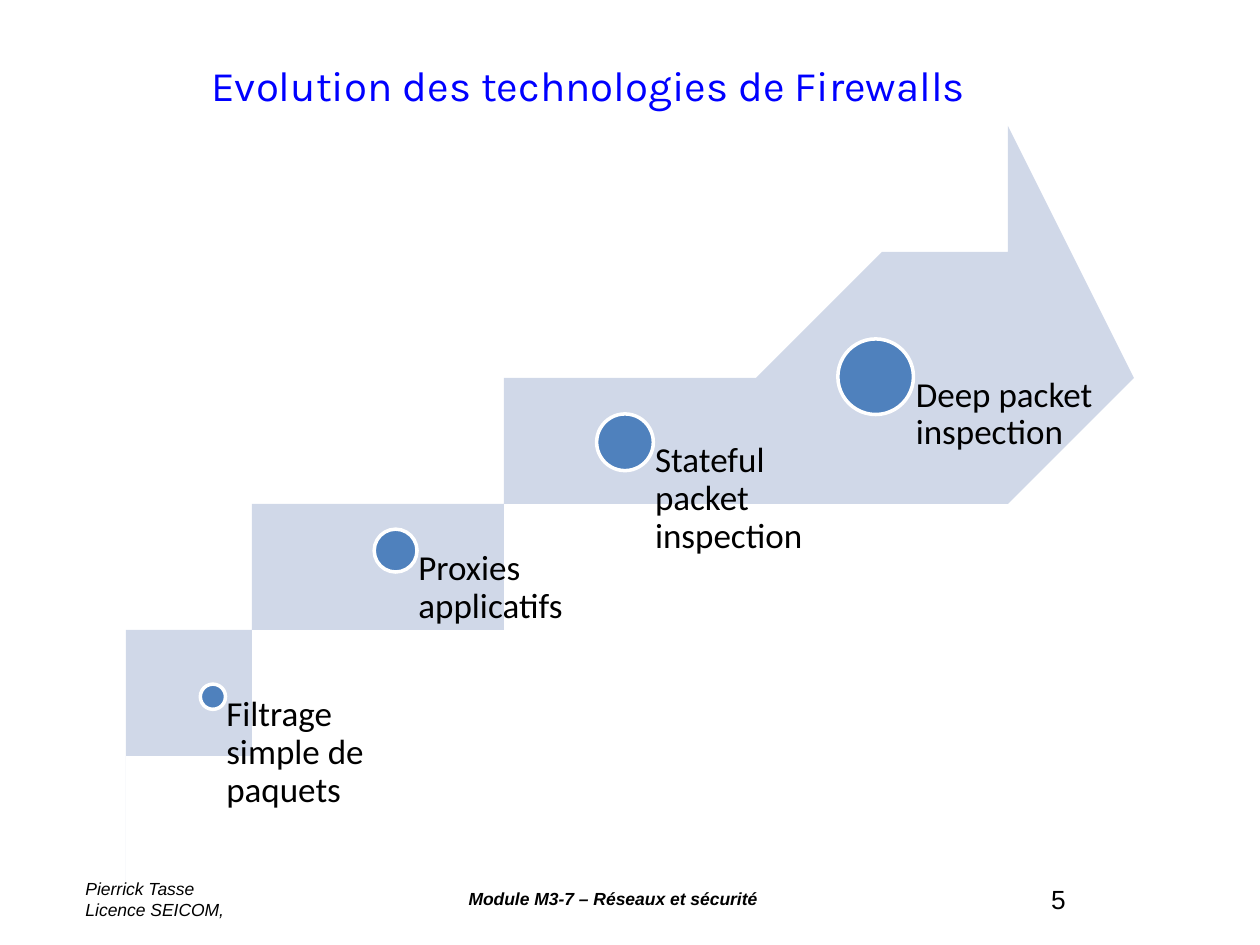
from pptx import Presentation
from pptx.dml.color import RGBColor
from pptx.enum.shapes import MSO_SHAPE
from pptx.enum.text import MSO_ANCHOR, PP_ALIGN
from pptx.util import Inches, Pt

BLACK = RGBColor(0x00, 0x00, 0x00)
WHITE = RGBColor(0xFF, 0xFF, 0xFF)
TITLE_BLUE = RGBColor(0x00, 0x00, 0xFF)
DOT_BLUE = RGBColor(0x4F, 0x81, 0xBD)
ARROW_BLUE = RGBColor(0xD0, 0xD8, 0xE8)

# Lines, place (left, top, width, height), font, paragraph and frame formats
TEXTS = [
    (["Evolution des technologies de Firewalls"], (0.42, 0.25, 8.5, 0.67),
     {"name": "Karla", "size": Pt(24), "color": TITLE_BLUE},
     {"alignment": PP_ALIGN.CENTER}, {"vertical_anchor": MSO_ANCHOR.BOTTOM}),
    (["Pierrick Tasse", "Licence SEICOM,"], (0.58, 6.92, 1.82, 0.44),
     {"name": "Arial", "size": Pt(10), "italic": True}, {}, {}),
    (["Module M3-7 – Réseaux et sécurité"], (3.62, 7, 3.09, 0.27),
     {"name": "Arial", "size": Pt(10), "bold": True, "italic": True}, {}, {}),
    (["5"], (7.36, 6.81, 2.08, 0.5), {"name": "Arial", "size": Pt(15)},
     {"alignment": PP_ALIGN.CENTER}, {"vertical_anchor": MSO_ANCHOR.BOTTOM}),
]

# Label, centre of the dot, diameter of the dot, width of the label
STEPS = [
    ("Filtrage simple de paquets", (1.69, 5.53), 0.2, 1.45),
    ("Proxies applicatifs", (3.14, 4.37), 0.34, 1.79),
    ("Stateful packet inspection", (4.96, 3.51), 0.45, 1.79),
    ("Deep packet inspection", (6.95, 2.99), 0.6, 1.79),
]
LABEL_FONT = {"name": "Calibri", "size": Pt(20)}
LABEL_PARAGRAPH = {"line_spacing": 0.9, "space_after": Pt(10)}
INSET_SHARE = 0.53  # label inset as a share of the dot's diameter

ARROW_BOTTOM = 6.8
UPPER_EDGE = [(0.75, ARROW_BOTTOM), (1.69, 4.44), (4.09, 2.89), (7.92, 2.15)]
ARROW_HEAD = [(7.85, 1.48), (9.25, 2.55), (8.15, 4.14)]
LOWER_EDGE = [(8.07, 3.48), (4.61, 3.77), (2.17, 4.88), (0.75, ARROW_BOTTOM)]
CURVE_STEPS = 40


def set_format(target, values):
    for name, value in values.items():
        setattr(target, name, value)


def add_text(page, lines, place, font, paragraph, frame):
    box = page.shapes.add_textbox(*map(Inches, place))
    set_format(box.text_frame, {"word_wrap": True, **frame})
    box.text_frame.text = "\n".join(lines)
    for para in box.text_frame.paragraphs:
        set_format(para, paragraph)
        for span in para.runs:
            values = dict(font)
            span.font.color.rgb = values.pop("color", BLACK)
            set_format(span.font, values)


def bezier(points):
    """Return points along a cubic curve given by its four control points."""
    weights = (1, 3, 3, 1)
    for step in range(CURVE_STEPS + 1):
        t = step / CURVE_STEPS
        yield tuple(
            sum(weight * (1 - t) ** (3 - k) * t ** k * point[axis]
                for k, (weight, point) in enumerate(zip(weights, points)))
            for axis in (0, 1))


def add_arrow(page):
    start, *outline = [*bezier(UPPER_EDGE), *ARROW_HEAD, *bezier(LOWER_EDGE)]
    builder = page.shapes.build_freeform(*start, scale=Inches(1))
    builder.add_line_segments(outline, close=True)
    arrow = builder.convert_to_shape()
    arrow.shadow.inherit = False
    arrow.fill.solid()
    arrow.fill.fore_color.rgb = ARROW_BLUE
    arrow.line.fill.background()


def add_step(page, label, centre, diameter, width):
    x, y = centre
    dot = page.shapes.add_shape(
        MSO_SHAPE.OVAL, Inches(x - diameter / 2), Inches(y - diameter / 2),
        Inches(diameter), Inches(diameter))
    dot.shadow.inherit = False
    dot.fill.solid()
    dot.fill.fore_color.rgb = DOT_BLUE
    dot.line.color.rgb = WHITE
    dot.line.width = Pt(2)
    insets = {"margin_left": Inches(INSET_SHARE * diameter),
              "margin_top": 0, "margin_right": 0, "margin_bottom": 0}
    add_text(page, [label], (x, y, width, ARROW_BOTTOM - y),
             LABEL_FONT, LABEL_PARAGRAPH, insets)


def main():
    deck = Presentation()
    deck.slide_width, deck.slide_height = Inches(10), Inches(7.5)
    page = deck.slides.add_slide(deck.slide_layouts[6])
    add_arrow(page)
    for step in STEPS:
        add_step(page, *step)
    for text in TEXTS:
        add_text(page, *text)
    deck.save("out.pptx")


if __name__ == "__main__":
    main()
